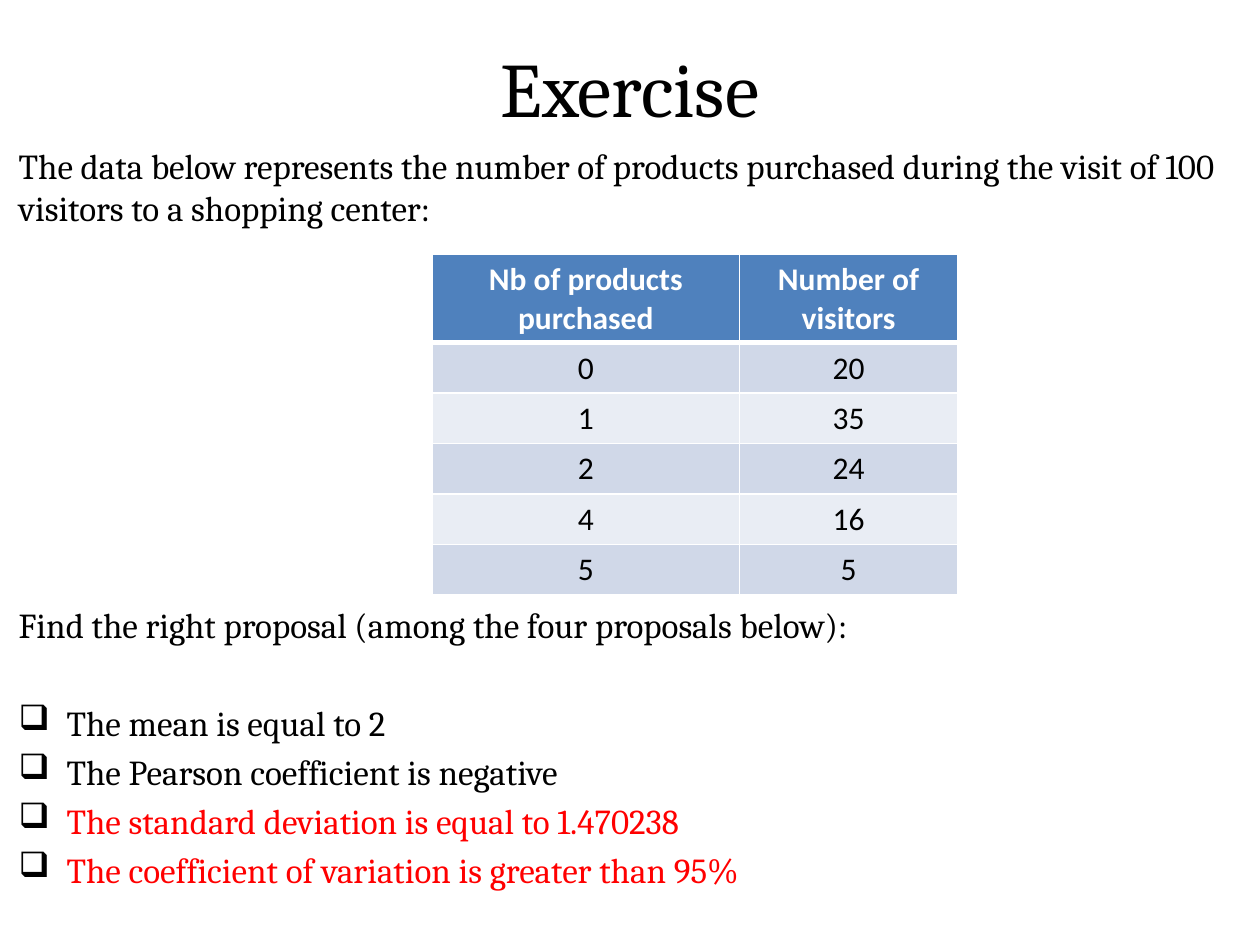
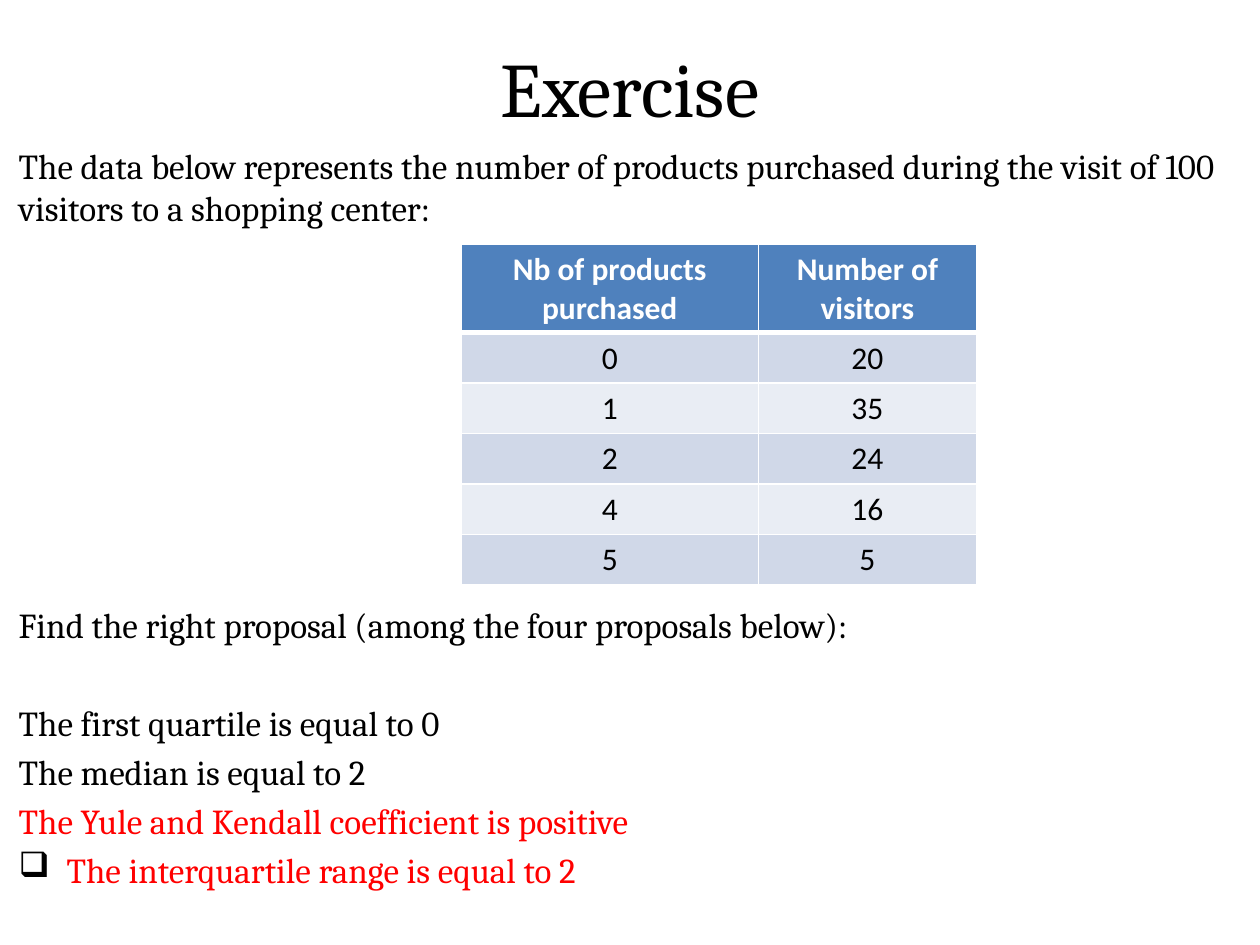
import pptx
import pptx.util
import pptx.dml.color
import pptx.enum.text
import pptx.oxml
import pptx.oxml.ns

Inches, Pt = pptx.util.Inches, pptx.util.Pt
RGBColor = pptx.dml.color.RGBColor
Align = pptx.enum.text.PP_ALIGN
Anchor = pptx.enum.text.MSO_ANCHOR

# Content
TITLE = "Exercise"
INTRO = ("The data below represents the number of products purchased "
         "during the visit of 100 visitors to a shopping center:")
TASK = "Find the right proposal (among the four proposals below):"
HEADS = ("Nb of products purchased", "Number of visitors")
VISITS = [(0, 20), (1, 35), (2, 24), (4, 16), (5, 5)]

# Each option: text, is it right, has it a box
PAGES = [
    {"left": 3.43, "top": 2.02, "cols": (2.44, 1.73), "options": [
        ("The mean is equal to 2", False, True),
        ("The Pearson coefficient is negative", False, True),
        ("The standard deviation is equal to 1.470238", True, True),
        ("The coefficient of variation is greater than 95%", True, True)]},
    {"left": 3.66, "top": 1.94, "cols": (2.36, 1.73), "options": [
        ("The first quartile is equal to 0", False, False),
        ("The median is equal to 2", False, False),
        ("The Yule and Kendall coefficient is positive", True, False),
        ("The interquartile range is equal to 2", True, True)]},
]

# Shared style
BLACK = RGBColor(0x00, 0x00, 0x00)
WHITE = RGBColor(0xFF, 0xFF, 0xFF)
RED = RGBColor(0xFF, 0x00, 0x00)
BLUE = RGBColor(0x4F, 0x81, 0xBD)
BANDS = (RGBColor(0xD0, 0xD8, 0xE8), RGBColor(0xE9, 0xED, 0xF4))
SERIF, SANS = "Cambria", "Calibri"
HEAD_H, ROW_H = 0.7, 0.4
INDENT = 0.38
TASK_GAP, LIST_GAP, LINE_GAP = 214, 32, 4


def add_run(para, text, size, font, color, bold=False):
    run = para.add_run()
    run.text = text
    run.font.size = Pt(size)
    run.font.name = font
    run.font.bold = bold
    run.font.color.rgb = color


def add_box(slide, left, top, width, height, anchor):
    box = slide.shapes.add_textbox(*map(Inches, (left, top, width, height)))
    frame = box.text_frame
    frame.word_wrap = True
    frame.vertical_anchor = anchor
    return frame


def add_xml(parent, tag, **attrs):
    node = pptx.oxml.parse_xml(f'<a:{tag} {pptx.oxml.ns.nsdecls("a")}/>')
    for key, value in attrs.items():
        node.set(key, str(value))
    parent.append(node)
    return node


def add_bullet(para):
    props = para._p.get_or_add_pPr()
    props.set("marL", str(Inches(INDENT)))
    props.set("indent", str(-Inches(INDENT)))
    add_xml(add_xml(props, "buClr"), "srgbClr", val=BLACK)
    add_xml(props, "buChar", char="❑")


def add_title(slide):
    frame = add_box(slide, 0.5, 0.06, 9, 1.25, Anchor.MIDDLE)
    para = frame.paragraphs[0]
    para.alignment = Align.CENTER
    add_run(para, TITLE, 44, SERIF, BLACK)


def add_body(slide, options):
    frame = add_box(slide, 0.05, 1.1, 9.93, 6.33, Anchor.TOP)
    add_run(frame.paragraphs[0], INTRO, 20, SERIF, BLACK)
    lines = [(TASK, False, False)] + options
    gaps = [TASK_GAP, LIST_GAP] + [LINE_GAP] * (len(options) - 1)
    for (text, right, boxed), gap in zip(lines, gaps):
        para = frame.add_paragraph()
        if boxed:
            add_bullet(para)
        para.space_before = Pt(gap)
        add_run(para, text, 20, SERIF, RED if right else BLACK)


def fill_cell(cell, text, row):
    head = row == 0
    # White borders, thicker under the heading
    props = cell._tc.get_or_add_tcPr()
    for side in "LRTB":
        thick = (head and side == "B") or (row == 1 and side == "T")
        line = add_xml(props, "ln" + side, w=Pt(3 if thick else 1))
        add_xml(add_xml(line, "solidFill"), "srgbClr", val=WHITE)
    cell.fill.solid()
    cell.fill.fore_color.rgb = BLUE if head else BANDS[(row - 1) % 2]
    cell.vertical_anchor = Anchor.MIDDLE if head else Anchor.TOP
    para = cell.text_frame.paragraphs[0]
    para.alignment = Align.CENTER
    add_run(para, str(text), 18, SANS, WHITE if head else BLACK, head)


def add_grid(slide, left, top, cols):
    rows = [HEADS] + VISITS
    sizes = [HEAD_H] + [ROW_H] * len(VISITS)
    spot = map(Inches, (left, top, sum(cols), sum(sizes)))
    table = slide.shapes.add_table(len(rows), len(cols), *spot).table
    for col, width in zip(table.columns, cols):
        col.width = Inches(width)
    for r, (values, size) in enumerate(zip(rows, sizes)):
        table.rows[r].height = Inches(size)
        for c, value in enumerate(values):
            fill_cell(table.cell(r, c), value, r)


def main():
    deck = pptx.Presentation()
    deck.slide_width, deck.slide_height = Inches(10), Inches(7.5)
    for page in PAGES:
        slide = deck.slides.add_slide(deck.slide_layouts[6])
        add_title(slide)
        add_body(slide, page["options"])
        add_grid(slide, page["left"], page["top"], page["cols"])
    deck.save("out.pptx")


if __name__ == "__main__":
    main()
